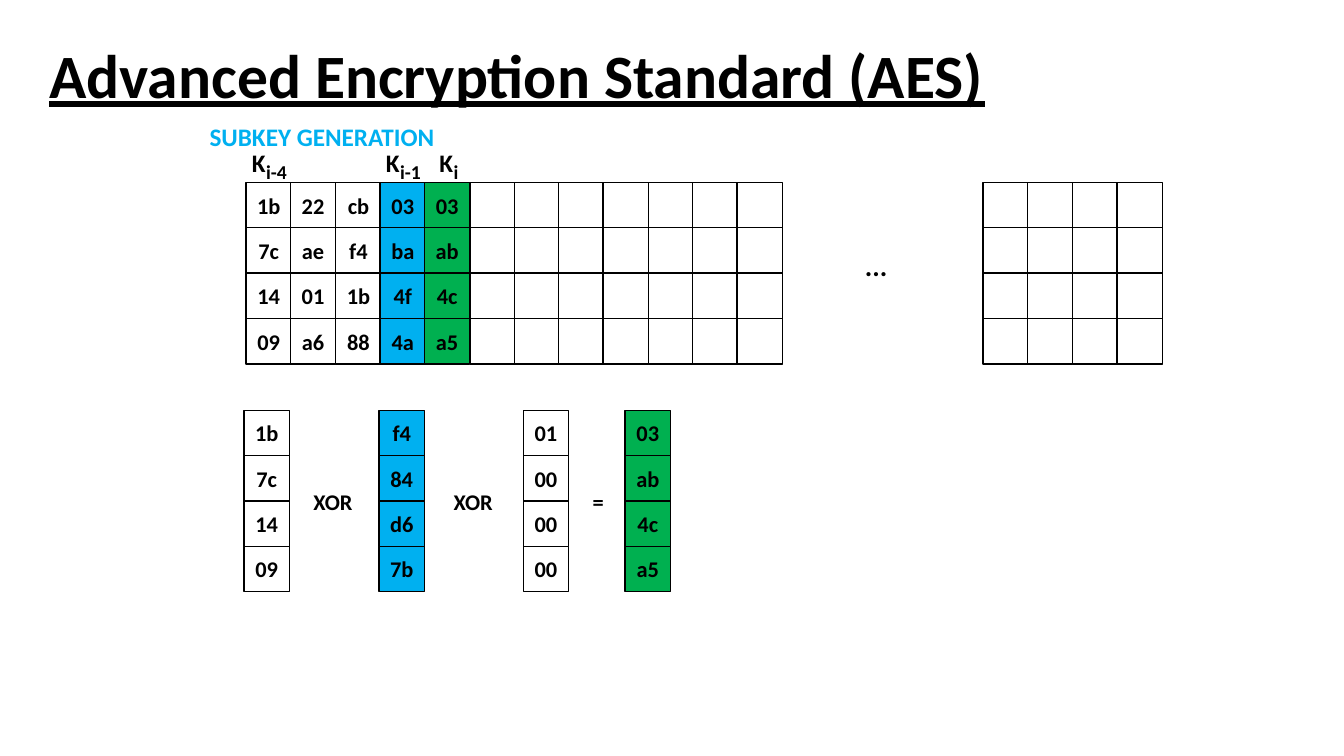
from dataclasses import dataclass

from pptx import Presentation
from pptx import util as u
from pptx.dml.color import RGBColor
from pptx.enum import shapes, text

PX = 9144  # EMU per px, 100 px to the inch
CELL = 45
COLUMN_PITCH = 44.3


@dataclass(frozen=True)
class Theme:
    font: str = "Calibri"
    black: str = "000000"
    white: str = "FFFFFF"
    blue: str = "00B0F0"
    green: str = "00B050"
    title: int = 44
    dots: int = 20
    label: int = 18
    cell: int = 16
    subscript: int = 14


class SlideBuilder:
    def __init__(self, slide, theme):
        self.slide = slide
        self.theme = theme

    def add_span(self, para, words, size, color=None):
        span = para.add_run()
        span.text = words
        span.font.name = self.theme.font
        span.font.size = u.Pt(size)
        span.font.bold = True
        span.font.color.rgb = RGBColor.from_string(color or self.theme.black)
        return span

    def title(self, words, left, top, width, height):
        box = self.slide.shapes.title
        box.left, box.top = left * PX, top * PX
        box.width, box.height = width * PX, height * PX
        frame = box.text_frame
        frame.auto_size = text.MSO_AUTO_SIZE.NONE
        frame.vertical_anchor = text.MSO_ANCHOR.MIDDLE
        para = frame.paragraphs[0]
        para.alignment = text.PP_ALIGN.LEFT
        para.line_spacing = 0.9
        self.add_span(para, words, self.theme.title).font.underline = True

    def label(self, words, left, top, width, height, size, color=None):
        box = self.slide.shapes.add_textbox(left * PX, top * PX, width * PX, height * PX)
        frame = box.text_frame
        frame.word_wrap = False
        frame.auto_size = text.MSO_AUTO_SIZE.SHAPE_TO_FIT_TEXT
        self.add_span(frame.paragraphs[0], words, size, color)

    def cell(self, words, left, top, fill):
        box = self.slide.shapes.add_shape(
            shapes.MSO_SHAPE.RECTANGLE, left * PX, top * PX, CELL * PX, CELL * PX)
        box.shadow.inherit = False
        box.fill.solid()
        box.fill.fore_color.rgb = RGBColor.from_string(fill)
        box.line.color.rgb = RGBColor.from_string(self.theme.black)
        box.line.width = u.Pt(1)
        if words:
            frame = box.text_frame
            frame.margin_left = frame.margin_right = 0
            frame.vertical_anchor = text.MSO_ANCHOR.MIDDLE
            para = frame.paragraphs[0]
            para.alignment = text.PP_ALIGN.CENTER
            self.add_span(para, words, self.theme.cell)

    def column(self, values, left, top, fill):
        """Stack one four-byte word as square cells."""
        for row, value in enumerate(values):
            self.cell(value, left, top + row * CELL, fill)

    def matrix(self, columns, left, top):
        """Set (values, fill) columns side by side."""
        for index, (values, fill) in enumerate(columns):
            self.column(values, left + round(index * COLUMN_PITCH), top, fill)

    def key_name(self, subscript, left, width):
        """Show K with a lowered index whose box has the given width."""
        self.label("K", left, 141, 34, 40, self.theme.label)
        self.label(subscript, left + 14, 154, width, 34, self.theme.subscript)


def main():
    deck = Presentation()
    deck.slide_width, deck.slide_height = 1333 * PX, 750 * PX
    theme = Theme()
    page = SlideBuilder(deck.slides.add_slide(deck.slide_layouts[5]), theme)

    page.title("Advanced Encryption Standard (AES)", 39, 5, 1150, 145)
    page.label("SUBKEY GENERATION", 198, 115, 245, 40, theme.label, theme.blue)

    first_word = ["1b", "7c", "14", "09"]
    new_word = ["03", "ab", "4c", "a5"]
    empty = ([""] * 4, theme.white)
    expanded_key = [
        (first_word, theme.white),
        (["22", "ae", "01", "a6"], theme.white),
        (["cb", "f4", "1b", "88"], theme.white),
        (["03", "ba", "4f", "4a"], theme.blue),
        (new_word, theme.green),
    ]
    page.matrix(expanded_key + [empty] * 7, 244, 181)
    page.label("...", 848, 242, 43, 44, theme.dots)
    page.matrix([empty] * 4, 975, 181)

    for subscript, left, width in [("i-4", 240, 41), ("i-1", 373, 41), ("i", 426, 25)]:
        page.key_name(subscript, left, width)

    for values, left, fill in [
        (first_word, 242, theme.white),
        (["f4", "84", "d6", "7b"], 376, theme.blue),
        (["01", "00", "00", "00"], 519, theme.white),
        (new_word, 620, theme.green),
    ]:
        page.column(values, left, 407, fill)
    for operator, left, width in [("XOR", 301, 60), ("XOR", 440, 60), ("=", 578, 31)]:
        page.label(operator, left, 479, width, 37, theme.cell)

    deck.save("out.pptx")


if __name__ == "__main__":
    main()
